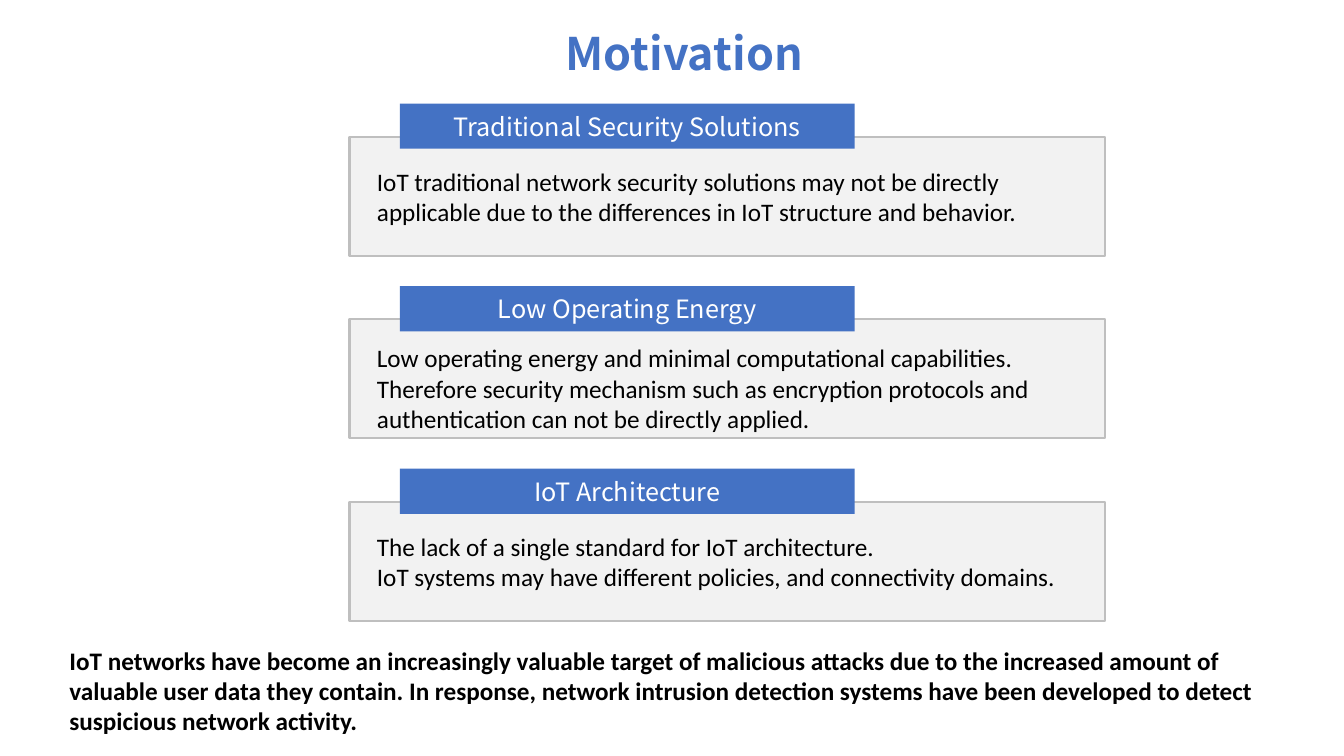
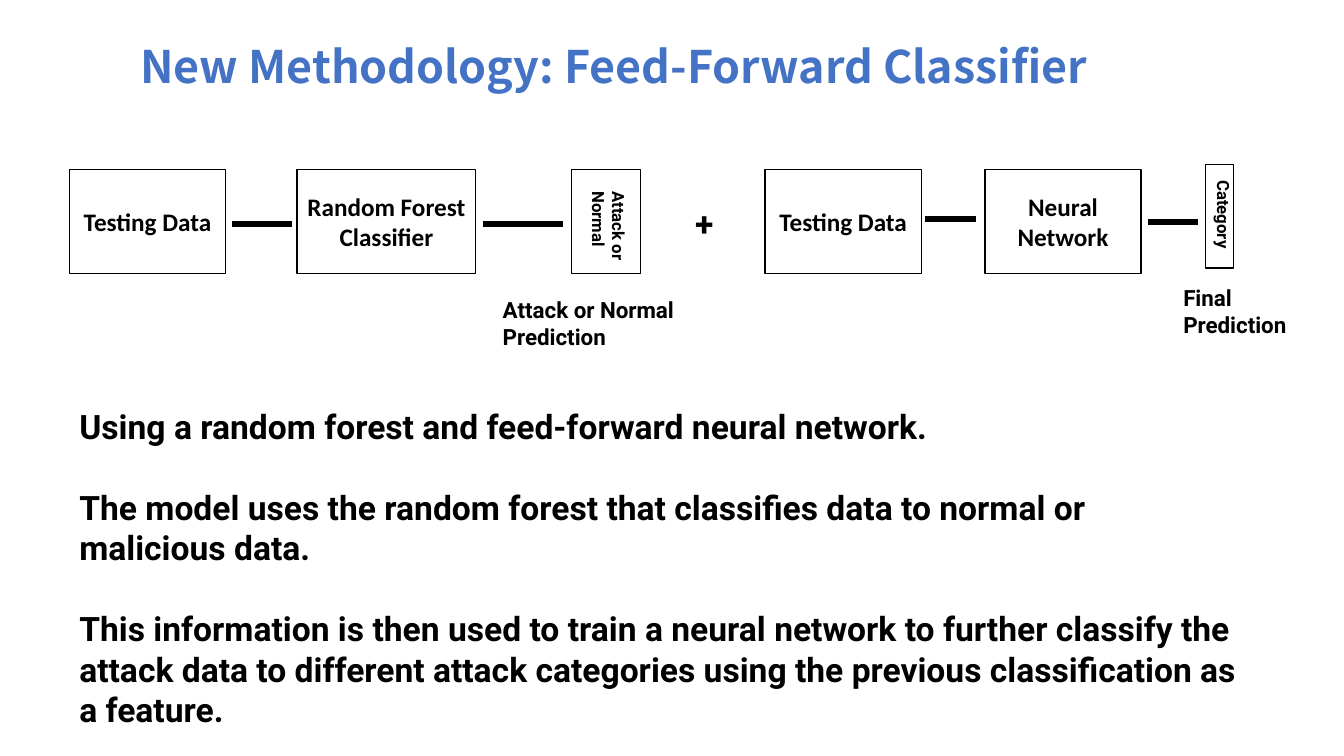
"""Builds two slides on IoT security: the motivation and the classifier methodology."""
from lxml.etree import SubElement
from pptx import Presentation
from pptx.dml.color import RGBColor
from pptx.enum.shapes import MSO_CONNECTOR, MSO_SHAPE
from pptx.enum.text import MSO_ANCHOR, MSO_AUTO_SIZE, PP_ALIGN
from pptx.oxml.ns import qn
from pptx.util import Cm, Pt

COLORS = {"accent": "4472C4", "panel": "F2F2F2", "border": "BFBFBF",
          "white": "FFFFFF", "black": "000000"}
HEADING, BODY, NOTE = "Noto Sans CJK SC", "Calibri", "Roboto"


def write(shape, lines, size, font, color="black", bold=True,
          align=PP_ALIGN.LEFT, anchor=MSO_ANCHOR.TOP, gap=0):
    frame = shape.text_frame
    frame.text = "\n".join(lines)
    frame.word_wrap = True
    frame.auto_size = MSO_AUTO_SIZE.NONE
    frame.vertical_anchor = anchor
    for index, paragraph in enumerate(frame.paragraphs):
        paragraph.alignment = align
        paragraph.line_spacing = 1.0
        paragraph.space_before = Pt(gap if index else 0)
        paragraph.font.name = font
        paragraph.font.size = Pt(size)
        paragraph.font.bold = bold
        paragraph.font.color.rgb = RGBColor.from_string(COLORS[color])


def add_box(slide, left, top, width, height, fill, border=None, weight=1):
    box = slide.shapes.add_shape(MSO_SHAPE.RECTANGLE, Cm(left), Cm(top), Cm(width), Cm(height))
    box.shadow.inherit = False
    box.fill.solid()
    box.fill.fore_color.rgb = RGBColor.from_string(COLORS[fill])
    if border:
        box.line.color.rgb = RGBColor.from_string(COLORS[border])
        box.line.width = Pt(weight)
    else:
        box.line.fill.background()
    return box


prs = Presentation()
prs.slide_width, prs.slide_height = Cm(33.87), Cm(19.05)

slides = []
for heading, left, top, width in [
    ("Motivation", 14, 0.51, 11.2),
    ("New Methodology: Feed-Forward Classifier", 3.28, 0.84, 29.06),
]:
    slide = prs.slides.add_slide(prs.slide_layouts[5])
    title = slide.shapes.title
    title.left, title.top, title.width, title.height = Cm(left), Cm(top), Cm(width), Cm(1.63)
    write(title, [heading], 32, HEADING, "accent")
    slides.append(slide)
motivation, methodology = slides

reasons = [
    ("Traditional Security Solutions", 0.61, [
        "IoT traditional network security solutions may not be directly applicable "
        "due to the differences in IoT structure and behavior."]),
    ("Low Operating Energy", 0.46, [
        "Low operating energy and minimal computational capabilities.",
        "Therefore security mechanism such as encryption protocols and "
        "authentication can not be directly applied."]),
    ("IoT Architecture", 0.61, [
        "The lack of a single standard for IoT architecture.",
        "IoT systems may have different policies, and connectivity domains."]),
]
for row, (reason, offset, details) in enumerate(reasons):
    panel_top = 3.45 + row * 4.6
    add_box(motivation, 8.81, panel_top, 19.05, 3, "panel", "border", 1.5)
    banner = add_box(motivation, 10.08, panel_top - 0.84, 11.46, 1.14, "accent")
    write(banner, [reason], 18, HEADING, "white", False, PP_ALIGN.CENTER, MSO_ANCHOR.MIDDLE)
    detail = motivation.shapes.add_textbox(Cm(9.25), Cm(panel_top + offset), Cm(17.83),
                                           Cm(3 - offset))
    write(detail, details, 18, BODY, bold=False)

conclusion = motivation.shapes.add_textbox(Cm(1.5), Cm(16.13), Cm(30.89), Cm(2.57))
write(conclusion, [
    "IoT networks have become an increasingly valuable target of malicious attacks due to "
    "the increased amount of valuable user data they contain. In response, network intrusion "
    "detection systems have been developed to detect suspicious network activity."], 18, BODY)

STAGE_TOP, STAGE_HEIGHT = 4.27, 2.62
for stage, left, width in [
    ("Testing Data", 1.75, 3.94),
    ("Random Forest Classifier", 7.49, 4.5),
    ("Testing Data", 19.28, 3.94),
    ("Neural Network", 24.82, 3.94),
]:
    stage_box = add_box(methodology, left, STAGE_TOP, width, STAGE_HEIGHT, "white", "black")
    write(stage_box, [stage], 18, BODY, align=PP_ALIGN.CENTER, anchor=MSO_ANCHOR.MIDDLE)

for left, top, width in [(14.4, STAGE_TOP, 1.75), (30.38, 4.14, 0.71)]:
    add_box(methodology, left, top, width, STAGE_HEIGHT, "white", "black")

for lines, size, left, top, width, height, turn in [
    (["+"], 24, 17.27, 5, 0.79, 1.27, 0),
    (["Attack or Normal", "Prediction"], 16, 12.42, 7.34, 5.84, 1.63, 0),
    (["Final Prediction"], 16, 29.57, 7.04, 4.32, 1.63, 0),
    (["Attack or Normal"], 12, 13.74, 5.54, 3.2, 1.27, 90),
    (["Category"], 12, 29.24, 5.51, 3.2, 0.76, 90),
]:
    label = methodology.shapes.add_textbox(Cm(left), Cm(top), Cm(width), Cm(height))
    label.rotation = turn
    write(label, lines, size, NOTE)

for start, end, level in [(5.84, 7.37, 5.64), (12.17, 14.2, 5.64),
                          (23.32, 24.59, 5.51), (28.93, 30.2, 5.59)]:
    link = methodology.shapes.add_connector(MSO_CONNECTOR.STRAIGHT, Cm(start), Cm(level),
                                            Cm(end), Cm(level))
    link.line.color.rgb = RGBColor.from_string(COLORS["black"])
    link.line.width = Pt(4.5)
    SubElement(link.element.spPr, qn("a:effectLst"))

explanation = methodology.shapes.add_textbox(Cm(1.75), Cm(10.11), Cm(29.67), Cm(8.46))
write(explanation, [
    "Using a random forest and feed-forward neural network.",
    "The model uses the random forest that classifies data to normal or malicious data.",
    "This information is then used to train a neural network to further classify the attack "
    "data to different attack categories using the previous classification as a feature.",
], 24, NOTE, gap=29)

prs.save("out.pptx")
